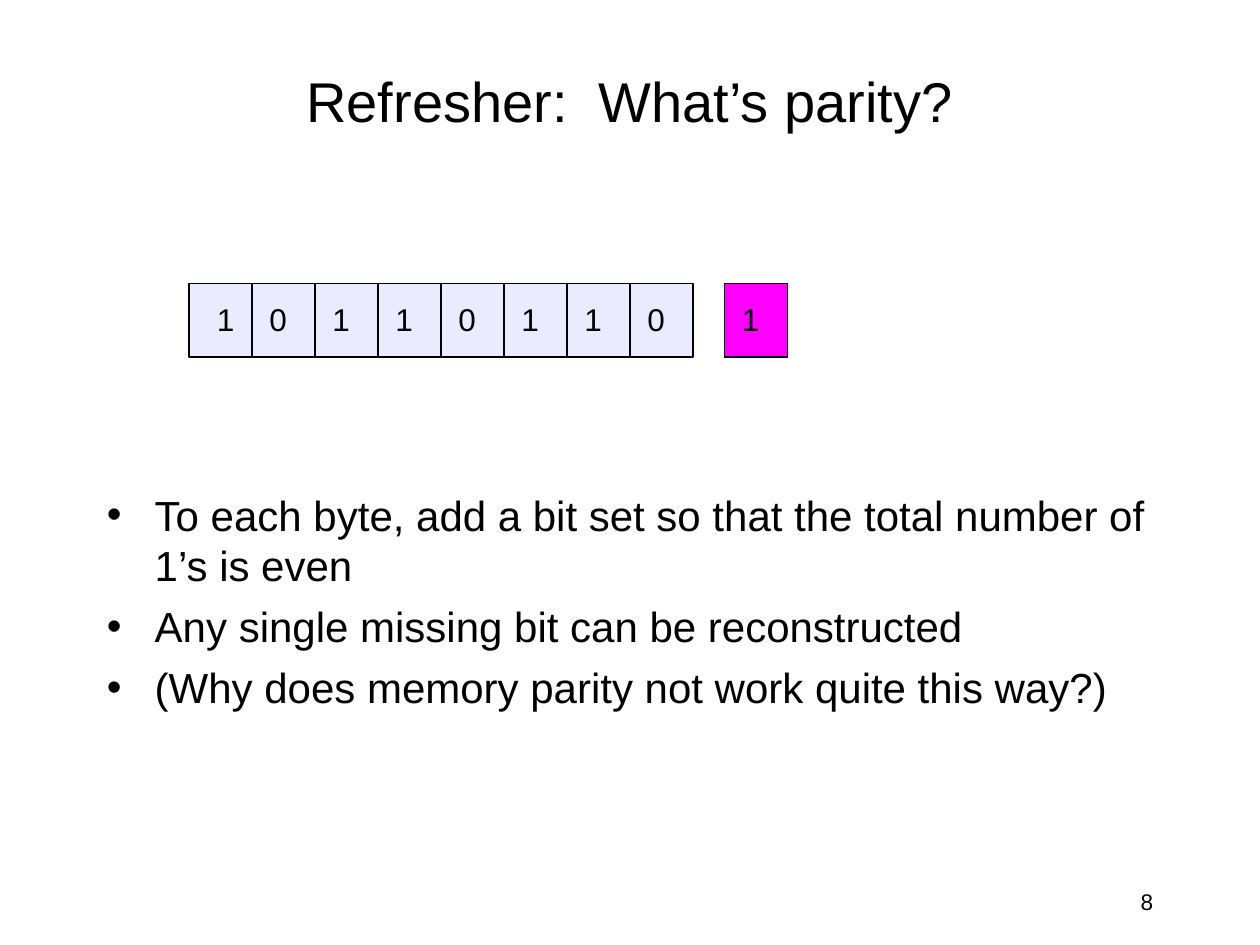
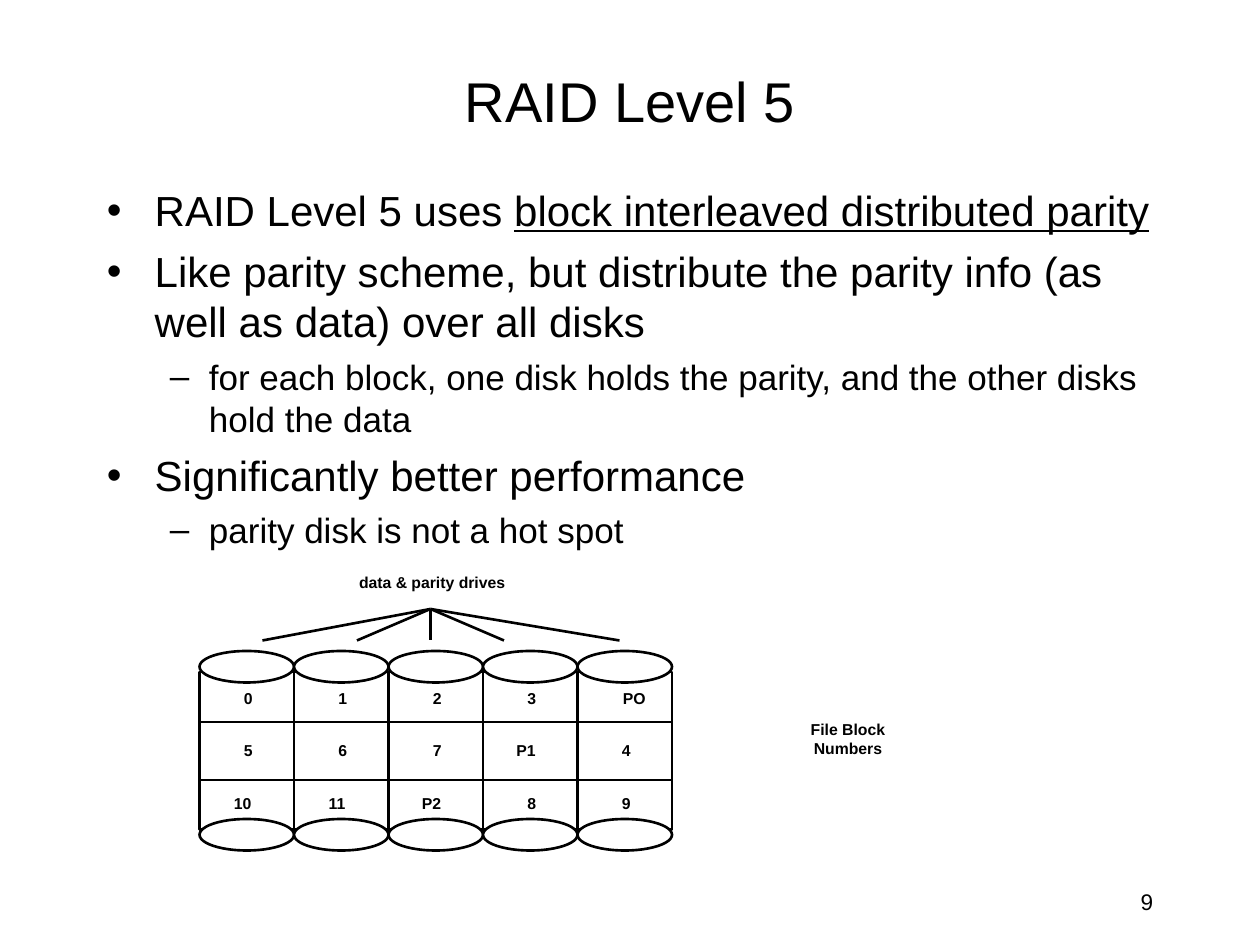
from lxml import etree
from pptx import Presentation
from pptx import util as u
from pptx.dml.color import RGBColor
from pptx.enum import shapes, text
from pptx.oxml import ns

BLACK = RGBColor(0x00, 0x00, 0x00)
WHITE = RGBColor(0xFF, 0xFF, 0xFF)
LAVENDER = RGBColor(0xEB, 0xEB, 0xFF)
MAGENTA = RGBColor(0xFF, 0x00, 0xFF)
FONT = "Arial"
CENTER, LEFT, RIGHT = text.PP_ALIGN.CENTER, text.PP_ALIGN.LEFT, text.PP_ALIGN.RIGHT
RECT, OVAL = shapes.MSO_SHAPE.RECTANGLE, shapes.MSO_SHAPE.OVAL
COLS = 120  # grid columns across the slide; rows are the same size

# Bullet levels: character, size, space before, margin and hanging indent (inches)
LEVELS = [("•", 24, 6, 0.38, 0.38), ("–", 20, 5, 0.81, 0.31)]


class Deck:
    """Holds the style, the current slide and the shapes being drawn into."""

    def __init__(self):
        self.prs = Presentation()
        self.prs.slide_width, self.prs.slide_height = u.Inches(10), u.Inches(7.5)
        self.unit = self.prs.slide_width / COLS

    def grid(self, *cells):
        return [u.Emu(round(c * self.unit)) for c in cells]

    def run(self, p, words, size, bold=False, underline=False):
        r = p.add_run()
        r.text = words
        r.font.name, r.font.size = FONT, u.Pt(size)
        r.font.bold, r.font.underline = bold, underline
        r.font.color.rgb = BLACK

    def slide(self, title, number):
        s = self.prs.slides.add_slide(self.prs.slide_layouts[5])
        self.shapes = s.shapes
        sp = s.shapes.title
        sp.left, sp.top, sp.width, sp.height = self.grid(9, 5, 102, 9)
        tf = sp.text_frame
        tf.auto_size = text.MSO_AUTO_SIZE.NONE
        tf.vertical_anchor = text.MSO_ANCHOR.MIDDLE
        tf.paragraphs[0].alignment = CENTER
        self.run(tf.paragraphs[0], title, 32)
        self.label([str(number)], 86, 84, 25, 4, 12.9, align=RIGHT)

    def group(self):
        self.shapes = self.shapes.add_group_shape().shapes

    def box(self, col, row, width, height, wrap=True):
        tf = self.shapes.add_textbox(*self.grid(col, row, width, height)).text_frame
        tf.word_wrap = wrap
        return tf

    def label(self, lines, col, row, width, height, size,
              bold=False, wrap=True, align=CENTER):
        tf = self.box(col, row, width, height, wrap)
        for i, line in enumerate(lines):
            p = tf.add_paragraph() if i else tf.paragraphs[0]
            p.alignment = align
            self.run(p, line, size, bold)

    def bullets(self, row, items):
        """Each item is a level followed by its runs; a second run is underlined."""
        tf = self.box(9, row, 102, 82 - row)
        for i, (level, *runs) in enumerate(items):
            char, size, before, margin, hang = LEVELS[level]
            p = tf.add_paragraph() if i else tf.paragraphs[0]
            p.level, p.alignment, p.space_before = level, LEFT, u.Pt(before)
            pPr = p._p.get_or_add_pPr()
            pPr.set("marL", str(u.Inches(margin)))
            pPr.set("indent", str(-u.Inches(hang)))
            etree.SubElement(pPr, ns.qn("a:buFont"), typeface=FONT)
            etree.SubElement(pPr, ns.qn("a:buChar"), char=char)
            for k, words in enumerate(runs):
                self.run(p, words, size, underline=k == 1)

    def shape(self, kind, col, row, width, height, fill=None, weight=1.5):
        sp = self.shapes.add_shape(kind, *self.grid(col, row, width, height))
        sp.shadow.inherit = False
        if fill is None:
            sp.fill.background()
        else:
            sp.fill.solid()
            sp.fill.fore_color.rgb = fill
        sp.line.color.rgb, sp.line.width = BLACK, u.Pt(weight)

    def line(self, x1, y1, x2, y2, weight=1.5):
        c = self.shapes.add_connector(shapes.MSO_CONNECTOR.STRAIGHT,
                                      *self.grid(x1, y1, x2, y2))
        c.line.color.rgb, c.line.width = BLACK, u.Pt(weight)
        etree.SubElement(c._element.spPr, ns.qn("a:effectLst"))


def parity_slide(d):
    d.slide("Refresher:  What’s parity?", 8)
    d.bullets(46, [
        (0, "To each byte, add a bit set so that the total number of 1’s is even"),
        (0, "Any single missing bit can be reconstructed"),
        (0, "(Why does memory parity not work quite this way?)"),
    ])

    # Byte with its dividers, then the parity bit
    left, top, cell, height = 18, 27, 6, 7
    byte, parity_col = "10110110", 69
    d.shape(RECT, left, top, cell * len(byte), height, LAVENDER, 1)
    d.shape(RECT, parity_col, top, cell, height, MAGENTA, 1)
    for i in range(1, len(byte)):
        x = left + i * cell
        d.line(x, top, x, top + height, 1)
    bit_cols = [left + i * cell for i in range(len(byte))]
    bit_cols[0] += 1
    for bit, col in zip(byte + "1", bit_cols + [parity_col]):
        d.label([bit], col, top + 1, 5, 4.8, 18)


def raid_slide(d):
    d.slide("RAID Level 5", 9)
    d.bullets(17, [
        (0, "RAID Level 5 uses ", "block interleaved distributed parity"),
        (0, "Like parity scheme, but distribute the parity info "
            "(as well as data) over all disks"),
        (1, "for each block, one disk holds the parity, "
            "and the other disks hold the data"),
        (0, "Significantly better performance"),
        (1, "parity disk is not a hot spot"),
    ])

    # Disk bodies
    d.group()
    left, top, disk, height = 19, 64, 9, 15
    blocks = [["0", "1", "2", "3", "PO"],
              ["5", "6", "7", "P1", "4"],
              ["10", "11", "P2", "8", "9"]]
    disks = [left + i * disk for i in range(len(blocks[0]))]
    right = disks[-1] + disk
    d.shape(RECT, left, top, right - left, height)
    for y in (68.75, 74.3):
        d.line(left, y, right, y)
    for x in disks[1:]:
        d.line(x, top, x, top + height)

    # Block numbers: indent and width of each label, the letter pair being widest
    for j, stripe in enumerate(blocks):
        for x, block in zip(disks, stripe):
            if len(block) == 1:
                indent, width = 3, 3.3
            elif block.isalpha():
                indent, width = 2.9, 5
            else:
                indent, width = 1.9, 4.4
            d.label([block], x + indent, top + 1 + 5 * j, width, 3, 9, True, False)

    # Disk ends
    for y in (top + height - 1, top - 2):
        for x in disks:
            d.shape(OVAL, x, y, disk, 3, WHITE)

    # Fan of lines and captions
    for x in (25, 34, 41, 48, 59):
        d.line(41, 58, x, 61)
    d.label(["data & parity drives"], 32.9, 54, 16.5, 3, 9, True, False)
    d.label(["File Block", "Numbers"], 75.9, 68, 9.7, 4.8, 9, True, False)


def main():
    d = Deck()
    parity_slide(d)
    raid_slide(d)
    d.prs.save("out.pptx")


if __name__ == "__main__":
    main()
